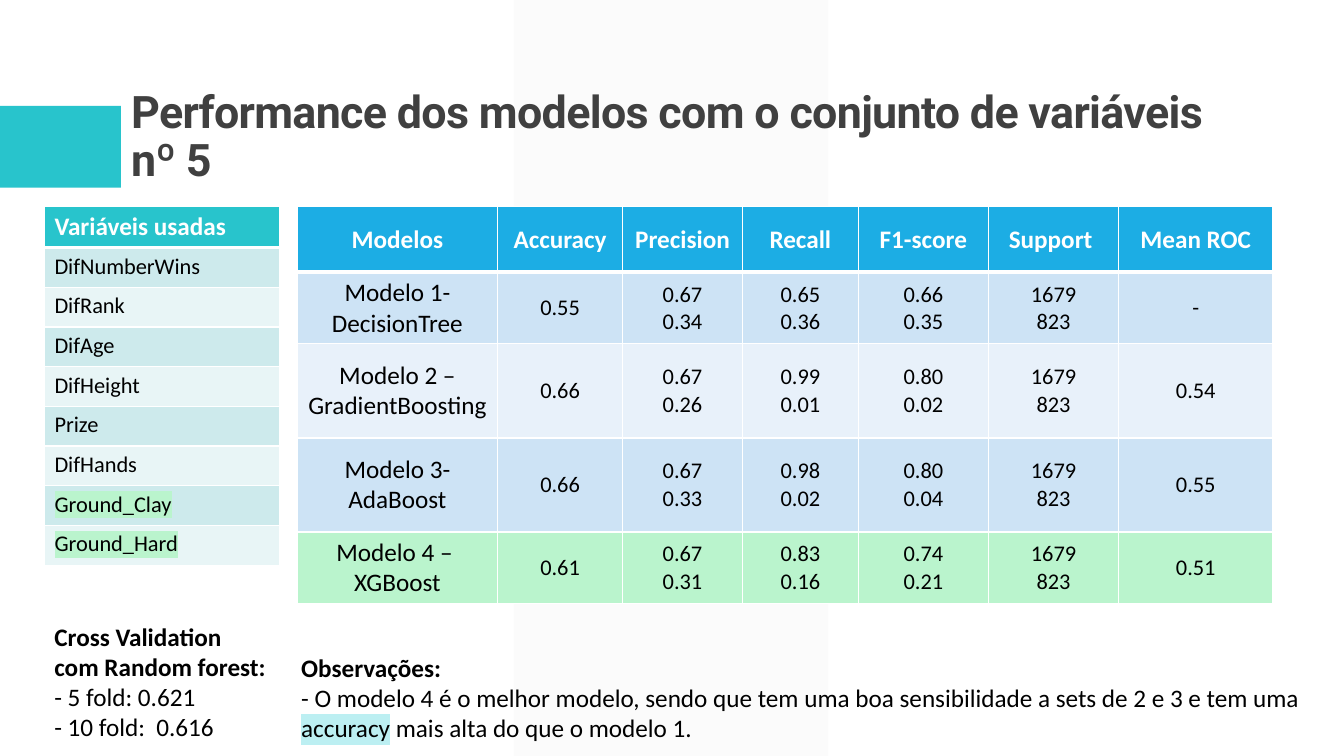
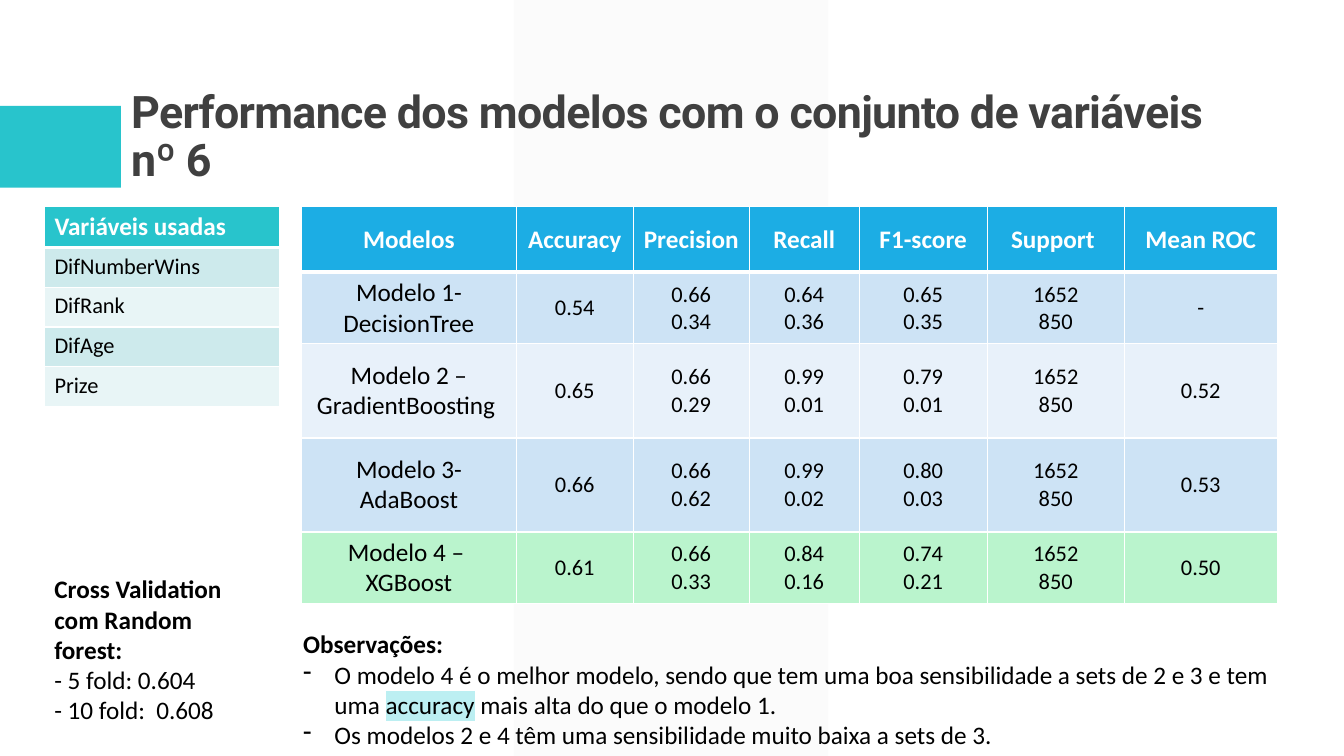
"""Build two slides that compare model performance for two sets of variables."""
from lxml import etree
from pptx import Presentation
from pptx import util as u
from pptx.dml.color import RGBColor
from pptx.enum import shapes, text
from pptx.oxml import ns

COLORS = {
    "teal": "28C4CC", "blue": "1CADE4", "band": "F2F2F2", "title": "404040",
    "white": "FFFFFF", "black": "000000", "green": "BAF4CD", "aqua": "BCEFF2",
    "blue_dark": "CDE3F5", "blue_light": "E8F1FA",
    "teal_dark": "CDEAEC", "teal_light": "E8F5F6",
}
METRICS = ["Modelos", "Accuracy", "Precision", "Recall", "F1-score", "Support ", "Mean ROC"]
MODELS = ["Modelo 1- DecisionTree", "Modelo 2 – GradientBoosting ",
          "Modelo 3- AdaBoost", "Modelo 4 – \nXGBoost"]
MODEL_ROWS = [1.65, 1.78, 2.37, 2.37, 1.78]
BEST_MODEL = ("O modelo 4 é o melhor modelo, sendo que tem uma boa sensibilidade a sets "
              "de 2 e 3 e tem uma |accuracy| mais alta do que o modelo 1.")


def rgb(name):
    """Return the named colour."""
    return RGBColor.from_string(COLORS[name])


def add_color(parent, tag, name):
    """Append an element that holds the named colour."""
    holder = etree.SubElement(parent, ns.qn(tag))
    return etree.SubElement(holder, ns.qn("a:srgbClr"), val=COLORS[name])


class Deck:
    """Hold the shared style and the current slide."""

    def __init__(self):
        """Start an empty widescreen presentation."""
        self.prs = Presentation()
        self.prs.slide_width, self.prs.slide_height = u.Cm(33.87), u.Cm(19.05)
        self.slide = None

    def add_slide(self, title):
        """Add a slide with its title, grey band and teal marker."""
        self.slide = self.prs.slides.add_slide(self.prs.slide_layouts[5])
        marker = self.block(shapes.MSO_SHAPE.RECTANGLE, "teal", 0, 2.67, 3.05, 2.06)
        band = self.block(shapes.MSO_SHAPE.PARALLELOGRAM, "band", 12.95, 0, 7.92, 19.05)
        band.adjustments[0] = 0
        tint = band.element.find(".//" + ns.qn("a:srgbClr"))
        etree.SubElement(tint, ns.qn("a:alpha"), val="30000")
        for decoration in (marker, band):
            self.slide.shapes.element.insert(2, decoration.element)

        heading = self.slide.shapes.title
        heading.left, heading.top = u.Cm(3.05), u.Cm(0.79)
        heading.width, heading.height = u.Cm(27.94), u.Cm(4.04)
        heading.text_frame.vertical_anchor = text.MSO_ANCHOR.BOTTOM
        heading.text_frame.auto_size = text.MSO_AUTO_SIZE.NONE
        paragraph = heading.text_frame.paragraphs[0]
        paragraph.line_spacing = 0.9
        paragraph.alignment = text.PP_ALIGN.LEFT
        self.add_text(paragraph, title, 32, "title", True, font="Roboto")
        paragraph.runs[0].font._element.set("spc", "-50")

    def block(self, kind, color, left, top, width, height):
        """Draw a plain filled shape."""
        shape = self.slide.shapes.add_shape(
            kind, u.Cm(left), u.Cm(top), u.Cm(width), u.Cm(height))
        shape.shadow.inherit = False
        shape.fill.solid()
        shape.fill.fore_color.rgb = rgb(color)
        shape.line.fill.background()
        return shape

    def add_text(self, paragraph, content, size, color="black", bold=False,
                 mark="aqua", font="Calibri"):
        """Fill a paragraph, highlighting the parts between bars."""
        for index, part in enumerate(content.split("|")):
            if not part:
                continue
            run = paragraph.add_run()
            run.text = part
            run.font.size, run.font.bold, run.font.name = u.Pt(size), bold, font
            run.font.color.rgb = rgb(color)
            if index % 2:
                props = run.font._element
                highlight = add_color(props, "a:highlight", mark).getparent()
                props.find(ns.qn("a:solidFill")).addnext(highlight)

    def cell(self, cell, content, fill, size, header=False, centred=True):
        """Fill and border one table cell and set its text."""
        cell.fill.solid()
        cell.fill.fore_color.rgb = rgb(fill)
        if centred:
            cell.vertical_anchor = text.MSO_ANCHOR.MIDDLE
        for index, line in enumerate(content.split("\n")):
            frame = cell.text_frame
            paragraph = frame.add_paragraph() if index else frame.paragraphs[0]
            if centred:
                paragraph.alignment = text.PP_ALIGN.CENTER
            self.add_text(paragraph, line, size, "white" if header else "black",
                          header, "green")
        props = cell._tc.get_or_add_tcPr()
        for index, side in enumerate(("L", "R", "T", "B")):
            points = 3 if header and side == "B" else 1
            border = etree.Element(ns.qn("a:ln" + side), w=str(u.Pt(points)))
            add_color(border, "a:solidFill", "white")
            props.insert(index, border)

    def grid(self, left, widths, heights):
        """Add an unstyled table below the title."""
        table = self.slide.shapes.add_table(
            len(heights), len(widths), u.Cm(left), u.Cm(5.21),
            u.Cm(sum(widths)), u.Cm(sum(heights))).table
        table.horz_banding = False
        for column, width in zip(table.columns, widths):
            column.width = u.Cm(width)
        for row, height in zip(table.rows, heights):
            row.height = u.Cm(height)
        return table

    def model_table(self, left, widths, scores):
        """Add the table of scores, with the best model in green."""
        table = self.grid(left, widths, MODEL_ROWS)
        fills = ["blue", "blue_dark", "blue_light", "blue_dark", "green"]
        rows = [METRICS] + [[model] + line for model, line in zip(MODELS, scores)]
        for r, values in enumerate(rows):
            for c, value in enumerate(values):
                size = 16 if r and c else 18
                self.cell(table.cell(r, c), value, fills[r], size, header=r == 0)

    def variable_table(self, variables):
        """Add the list of variables used."""
        table = self.grid(1.12, [5.92], [1] * (len(variables) + 1))
        self.cell(table.cell(0, 0), "Variáveis usadas", "teal", 18, True, False)
        for r, variable in enumerate(variables, 1):
            fill = "teal_dark" if r % 2 else "teal_light"
            self.cell(table.cell(r, 0), variable, fill, 16, centred=False)

    def note(self, left, top, width, height, headings, lines, dashed=False):
        """Add a text box with bold headings above plain or dashed lines."""
        box = self.slide.shapes.add_textbox(u.Cm(left), u.Cm(top), u.Cm(width), u.Cm(height))
        frame = box.text_frame
        frame.word_wrap = True
        for index, line in enumerate(headings + lines):
            paragraph = frame.add_paragraph() if index else frame.paragraphs[0]
            is_heading = index < len(headings)
            self.add_text(paragraph, line, 18, bold=is_heading)
            if dashed and not is_heading:
                props = paragraph._p.get_or_add_pPr()
                props.set("marL", str(u.Cm(0.79)))
                props.set("indent", str(u.Cm(-0.79)))
                etree.SubElement(props, ns.qn("a:buFontTx"))
                etree.SubElement(props, ns.qn("a:buChar"), char="-")


def main():
    """Build and save the presentation."""
    deck = Deck()

    deck.add_slide("Performance dos modelos com o conjunto de variáveis nº 5")
    deck.model_table(7.49, [5.05, 3.15, 3.02, 2.92, 3.28, 3.28, 3.89], [
        ["0.55", "0.67\n0.34", "0.65\n0.36", "0.66\n0.35", "1679\n823", "-"],
        ["0.66", "0.67\n0.26", "0.99\n0.01", "0.80\n0.02", "1679\n823", "0.54"],
        ["0.66", "0.67\n0.33", "0.98\n0.02", "0.80\n0.04", "1679\n823", "0.55"],
        ["0.61", "0.67\n0.31", "0.83\n0.16", "0.74\n0.21", "1679\n823", "0.51"],
    ])
    deck.variable_table(["DifNumberWins", "DifRank", "DifAge", "DifHeight", "Prize",
                         "DifHands", "|Ground_Clay|", "|Ground_Hard|"])
    deck.note(1.12, 15.52, 6.38, 3.33, ["Cross Validation", "com Random forest:"],
              ["- 5 fold: 0.621", "- 10 fold:  0.616"])
    deck.note(7.34, 16.31, 25.68, 2.57, ["Observações:"], ["- " + BEST_MODEL])

    deck.add_slide("Performance dos modelos com o conjunto de variáveis nº 6")
    deck.model_table(7.6, [5.41, 2.95, 2.92, 2.77, 3.23, 3.45, 3.86], [
        ["0.54", "0.66\n0.34", "0.64\n0.36", "0.65\n0.35", "1652\n850", "-"],
        ["0.65", "0.66\n0.29", "0.99\n0.01", "0.79\n0.01", "1652\n850", "0.52"],
        ["0.66", "0.66\n0.62", "0.99\n0.02", "0.80\n0.03", "1652\n850", "0.53"],
        ["0.61", "0.66\n0.33", "0.84\n0.16", "0.74\n0.21", "1652\n850", "0.50"],
    ])
    deck.variable_table(["DifNumberWins", "DifRank", "DifAge", "Prize"])
    deck.note(1.12, 14.33, 5.08, 4.11, ["Cross Validation com Random forest:"],
              ["- 5 fold: 0.604", "- 10 fold:  0.608"])
    deck.note(7.39, 15.72, 25.68, 3.33, ["Observações:"],
              [BEST_MODEL, "Os modelos 2 e 4 têm uma sensibilidade muito baixa a sets de 3."],
              dashed=True)

    deck.prs.save("out.pptx")


if __name__ == "__main__":
    main()
